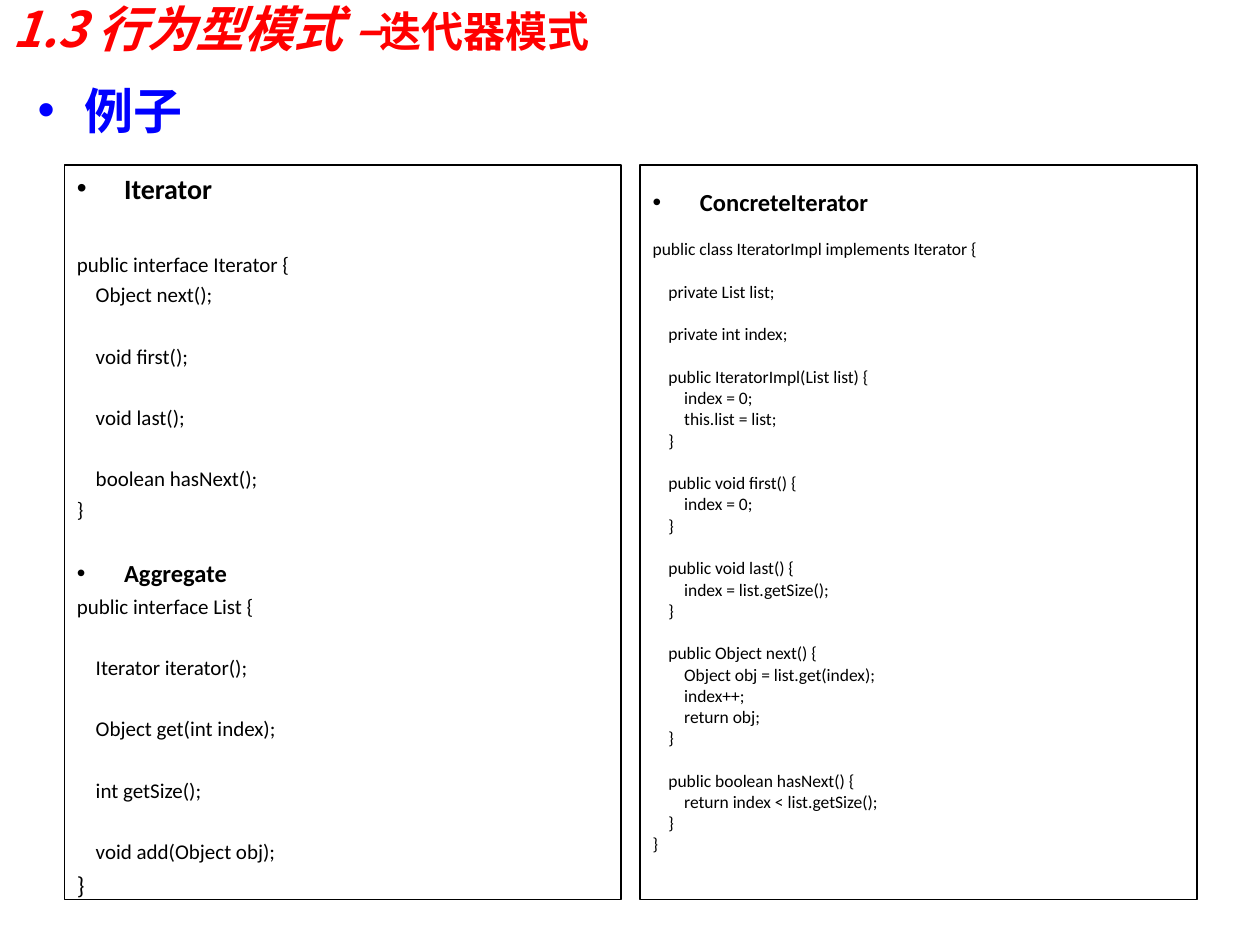
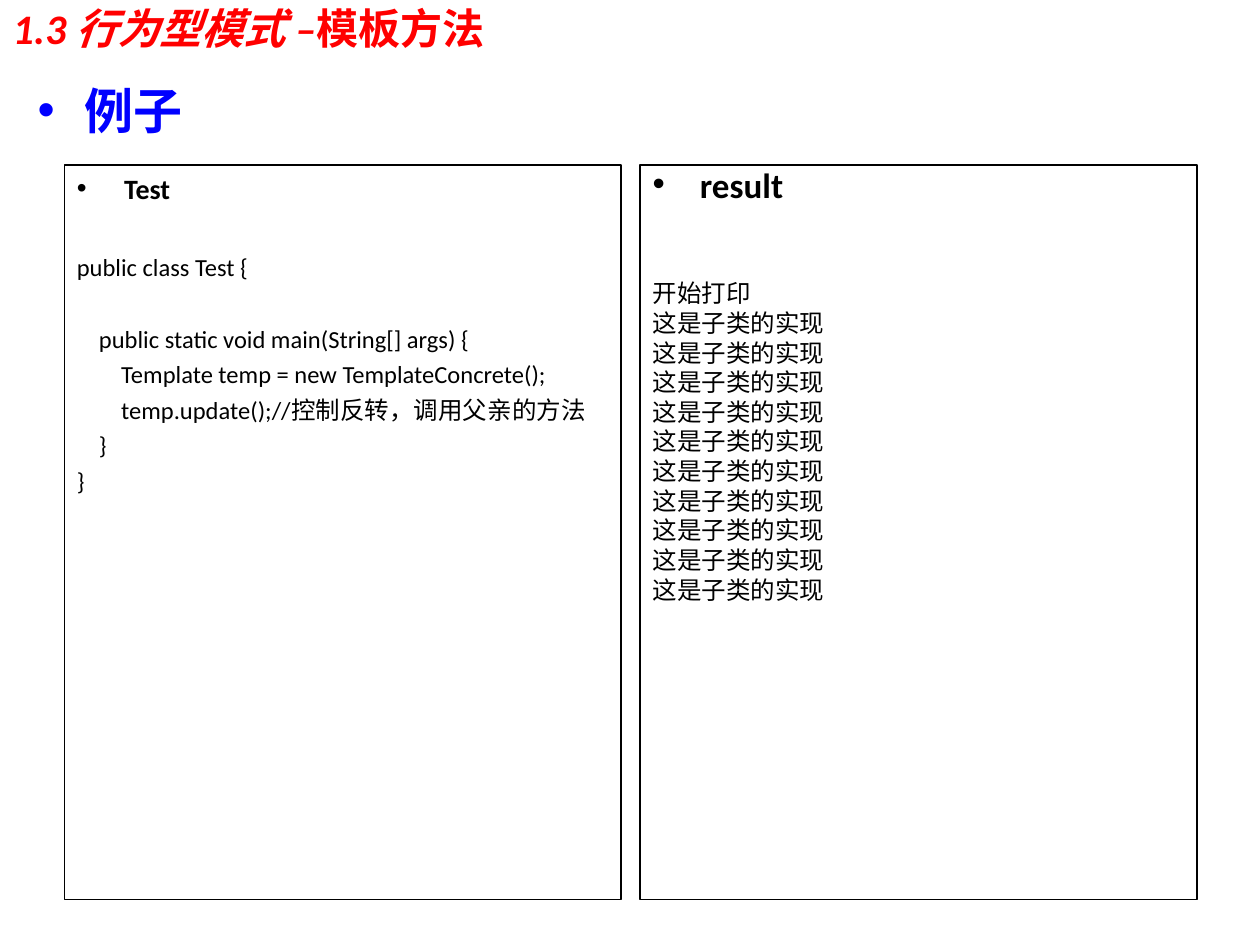
from lxml import etree
from pptx import Presentation
from pptx.dml.color import RGBColor
from pptx.enum.text import MSO_ANCHOR, MSO_AUTO_SIZE, PP_ALIGN
from pptx.oxml.ns import qn
from pptx.util import Pt

TOP, MIDDLE = MSO_ANCHOR.TOP, MSO_ANCHOR.MIDDLE
LEFT = PP_ALIGN.LEFT
NO_AUTOFIT = MSO_AUTO_SIZE.NONE

COLORS = {"title": "FF0000", "topic": "0000FF", "text": "000000"}
LATIN, CHINESE = "Calibri", "Noto Sans CJK SC"
TWO_CONTENT = 3
INDENT = 27
INSET = 3.6
LINE_HEIGHT = 1.22

TITLE_BOX = (0, 0, 648, 31.68)
TOPIC_BOX = (14.4, 49, 254.9, 74.9)
PANELS_BOX = (36.72, 94.32, 647.28, 419.76)
PANEL_GAP = 10.8

ITERATOR_CODE = """public interface Iterator {
    Object next();

    void first();

    void last();

    boolean hasNext();
}
"""

LIST_CODE = """public interface List {

    Iterator iterator();

    Object get(int index);

    int getSize();

    void add(Object obj);"""

ITERATOR_IMPL_CODE = """
public class IteratorImpl implements Iterator {

    private List list;

    private int index;

    public IteratorImpl(List list) {
        index = 0;
        this.list = list;
    }

    public void first() {
        index = 0;
    }

    public void last() {
        index = list.getSize();
    }

    public Object next() {
        Object obj = list.get(index);
        index++;
        return obj;
    }

    public boolean hasNext() {
        return index < list.getSize();
    }
}"""

TEST_CODE = """public class Test {

    public static void main(String[] args) {
        Template temp = new TemplateConcrete();
        temp.update();//控制反转，调用父亲的方法
    }
}"""

PRINTED_RESULT = "\n".join(["", "开始打印"] + ["这是子类的实现"] * 10)

PAGES = [
    {
        "title": [("1.3 行为型模式 –", 28, CHINESE, True),
                  ("迭代器模式", 24, LATIN, False)],
        "panels": [
            (1.0, [(16, True, "Iterator\n"), (12, False, ITERATOR_CODE),
                   (14, True, "Aggregate"), (12, False, LIST_CODE),
                   (14, False, "}")]),
            (0.8, [(10, False, ""), (14, True, "ConcreteIterator"),
                   (10, False, ITERATOR_IMPL_CODE)]),
        ],
    },
    {
        "title": [("1.3 行为型模式 –", 24, LATIN, True),
                  ("模板方法", 24, LATIN, False)],
        "panels": [
            (1.0, [(16, True, "Test\n"), (14, False, TEST_CODE)]),
            (0.8, [(20, True, "result\n"), (14, False, PRINTED_RESULT)]),
        ],
    },
]


def place(shape, box):
    """Move a shape to a box given in points."""
    shape.left, shape.top, shape.width, shape.height = (Pt(v) for v in box)


def prepare_frame(shape, anchor):
    """Give a shape's text frame wrapping, insets and an anchor."""
    frame = shape.text_frame
    frame.word_wrap = True
    frame.auto_size = NO_AUTOFIT
    frame.vertical_anchor = anchor
    frame.margin_left = frame.margin_right = Pt(2 * INSET)
    frame.margin_top = frame.margin_bottom = Pt(INSET)
    return frame


def format_span(span, size, color, bold, italic=False, typeface=LATIN):
    """Set size, colour, weight and both typefaces of a run."""
    font = span.font
    font.size, font.bold, font.italic = Pt(size), bold, italic
    font.color.rgb = RGBColor.from_string(color)
    font.name = typeface
    east_asian = etree.Element(qn("a:ea"), typeface=typeface)
    font._element.find(qn("a:latin")).addnext(east_asian)


def format_para(para, bulleted, color, line_spacing, before):
    """Set the hanging indent, bullet and spacing of a paragraph."""
    properties = para._p.get_or_add_pPr()
    properties.set("marL", str(Pt(INDENT)))
    properties.set("indent", str(-Pt(INDENT)))
    if bulleted:
        bullet_color = etree.SubElement(properties, qn("a:buClr"))
        etree.SubElement(bullet_color, qn("a:srgbClr"), val=color)
        etree.SubElement(properties, qn("a:buFont"), typeface="Arial")
        etree.SubElement(properties, qn("a:buChar"), char="•")
    else:
        etree.SubElement(properties, qn("a:buNone"))
    para.alignment = LEFT
    para.line_spacing = line_spacing
    para.space_before = Pt(before)


def fill_title(title, box, parts):
    """Write the title from its differently styled parts."""
    place(title, box)
    para = prepare_frame(title, MIDDLE).paragraphs[0]
    para.alignment = LEFT
    for text, size, typeface, italic in parts:
        span = para.add_run()
        span.text = text
        format_span(span, size, COLORS["title"], True, italic, typeface)


def add_topic(page, box):
    """Add the bulleted topic line under the title."""
    shape = page.shapes.add_textbox(*(Pt(v) for v in box))
    para = prepare_frame(shape, TOP).paragraphs[0]
    para.text = "例子"
    format_para(para, True, COLORS["topic"], 0.8, 0)
    format_span(para.runs[0], 28, COLORS["topic"], True)


def fill_panel(panel, box, line_spacing, blocks):
    """Write headings and code into an outlined panel, empty lines as spacing."""
    place(panel, box)
    panel.line.color.rgb = RGBColor.from_string(COLORS["text"])
    panel.line.width = Pt(0.75)
    frame = prepare_frame(panel, TOP)
    para, gap = None, 0
    for size, is_heading, text in blocks:
        for line in text.split("\n"):
            if not line:
                gap += size * (LINE_HEIGHT * line_spacing + 0.25)
                continue
            if para is None:
                para, before = frame.paragraphs[0], 0
                frame.margin_top = Pt(INSET + gap)
            else:
                para, before = frame.add_paragraph(), round(gap + size / 4, 2)
            para.text = line
            format_para(para, is_heading, COLORS["text"], line_spacing, before)
            format_span(para.runs[0], size, COLORS["text"], is_heading)
            gap = 0


def build_page(deck, title, panels):
    """Add a page with a title, a topic and two panels side by side."""
    page = deck.slides.add_slide(deck.slide_layouts[TWO_CONTENT])
    fill_title(page.shapes.title, TITLE_BOX, title)
    add_topic(page, TOPIC_BOX)
    left, top, width, height = PANELS_BOX
    panel_width = (width - PANEL_GAP) / 2
    for index, (line_spacing, blocks) in enumerate(panels):
        box = (left + index * (panel_width + PANEL_GAP), top, panel_width, height)
        fill_panel(page.placeholders[index + 1], box, line_spacing, blocks)


def main():
    """Build and save the deck."""
    deck = Presentation()
    deck.slide_width, deck.slide_height = Pt(720), Pt(540)
    for content in PAGES:
        build_page(deck, **content)
    deck.save("out.pptx")


if __name__ == "__main__":
    main()
